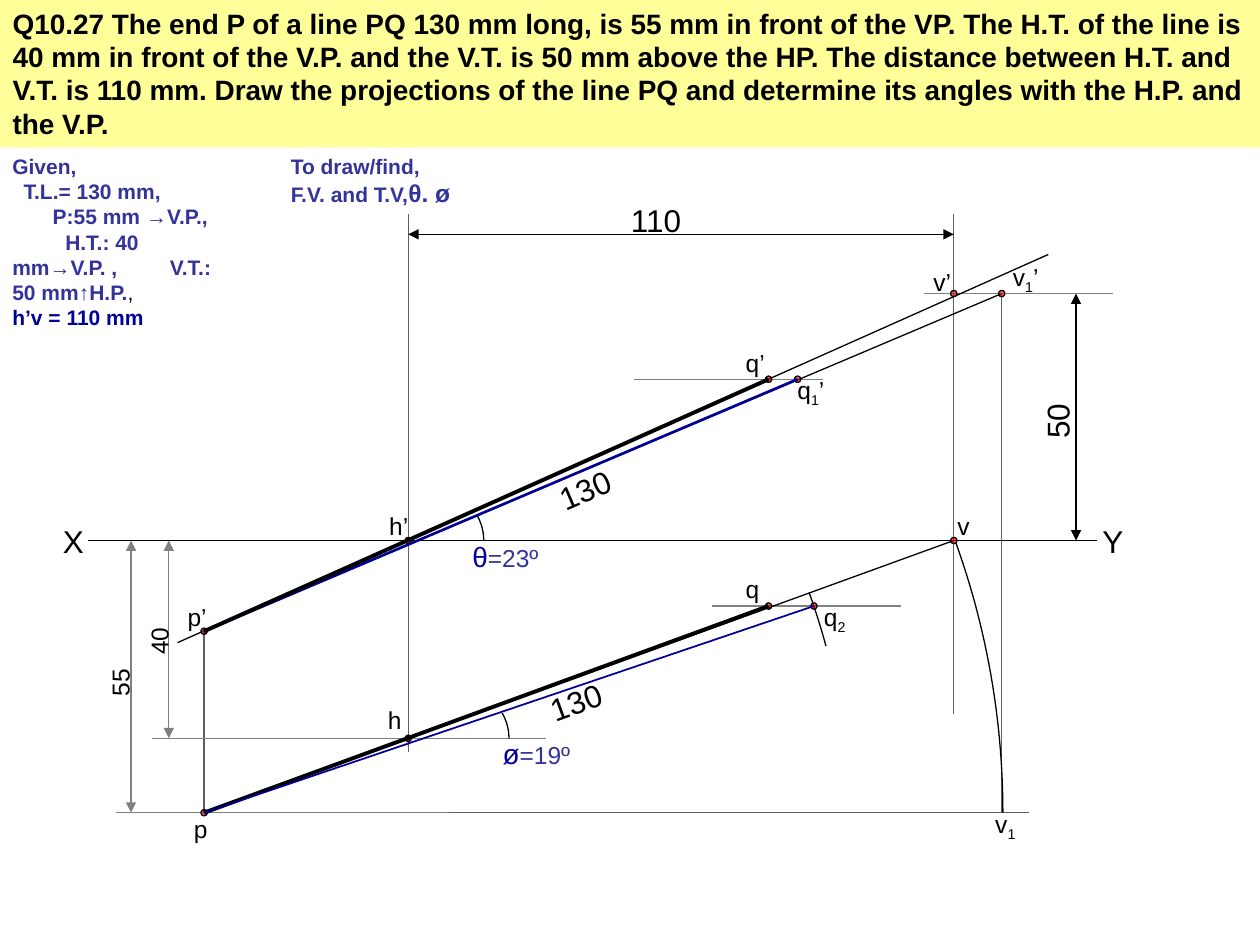
"""Builds the slide with the projections of line PQ and its traces."""
from math import cos, radians, sin

from lxml.etree import SubElement
from pptx import Presentation
from pptx.dml.color import RGBColor
from pptx.enum.shapes import MSO_CONNECTOR as CONNECTOR, MSO_SHAPE as SHAPE
from pptx.enum.text import MSO_ANCHOR as ANCHOR, MSO_AUTO_SIZE as AUTO_SIZE, PP_ALIGN as ALIGN
from pptx.oxml.ns import qn
from pptx.util import Inches, Pt

BLACK = RGBColor(0, 0, 0)
DARK_GRAY = RGBColor(0x5F, 0x5F, 0x5F)
GRAY = RGBColor(0x80, 0x80, 0x80)
NAVY = RGBColor(0, 0, 0x99)
INDIGO = RGBColor(0x33, 0x33, 0x99)
YELLOW = RGBColor(0xFF, 0xFF, 0x99)
RED = RGBColor(0xFF, 0, 0)

presentation = Presentation()
presentation.slide_width, presentation.slide_height = Inches(10), Inches(7.5)
COLUMN = presentation.slide_width / 10
ROW = presentation.slide_height / 7.5
slide = presentation.slides.add_slide(presentation.slide_layouts[5])
shapes = slide.shapes


def write_text(paragraph, text, size=14, color=BLACK, bold=False, baseline=0):
    run = paragraph.add_run()
    run.text = text
    run.font.name, run.font.size, run.font.bold = "Arial", Pt(size), bold
    run.font.color.rgb = color
    if baseline:
        run.font._element.set("baseline", str(baseline))


def draw_line(start, end, color=BLACK, width=0.75, arrows=False):
    line = shapes.add_connector(
        CONNECTOR.STRAIGHT, int(start[0] * COLUMN), int(start[1] * ROW),
        int(end[0] * COLUMN), int(end[1] * ROW))
    line.line.color.rgb, line.line.width = color, Pt(width)
    if arrows:
        for tag in ("a:headEnd", "a:tailEnd"):
            SubElement(line.line._get_or_add_ln(), qn(tag), type="triangle")
    SubElement(line._element.spPr, qn("a:effectLst"))


question = shapes.title
question.left, question.top = 0, 0
question.width, question.height = int(10 * COLUMN), int(1.17 * ROW)
question.fill.solid()
question.fill.fore_color.rgb = YELLOW
frame = question.text_frame
frame.word_wrap, frame.auto_size = True, AUTO_SIZE.NONE
frame.vertical_anchor = ANCHOR.TOP
paragraph = frame.paragraphs[0]
paragraph.alignment, paragraph.line_spacing = ALIGN.LEFT, Pt(19.1)
write_text(
    paragraph,
    "Q10.27 The end P of a line PQ 130 mm long, is 55 mm in front of the VP. "
    "The H.T. of the line is 40 mm in front of the V.P. and the V.T. is 50 mm above the HP. "
    "The distance between H.T. and V.T. is 110 mm. Draw the projections of the line PQ "
    "and determine its angles with the H.P. and the V.P.",
    size=16, bold=True)

given = [
    (0, [("Given,", INDIGO, True)]),
    (0.09, [("T.L.= 130 mm,", INDIGO, True)]),
    (0.32, [("P:55 mm ", INDIGO, True), ("→", INDIGO, False), ("V.P.,", INDIGO, True)]),
    (0.42, [("H.T.: 40", INDIGO, True)]),
    (0, [("mm", INDIGO, True), ("→", INDIGO, False), ("V.P. ,\tV.T.:", INDIGO, True)]),
    (0, [("50 mm", INDIGO, True), ("↑", INDIGO, False), ("H.P.", INDIGO, True),
         (",", BLACK, False)]),
    (0, [("h’v = 110 mm", NAVY, True)]),
]
frame = shapes.add_textbox(0, int(1.17 * ROW), int(1.93 * COLUMN), int(1.3 * ROW)).text_frame
frame.word_wrap = True
for index, (indent, runs) in enumerate(given):
    paragraph = frame.add_paragraph() if index else frame.paragraphs[0]
    paragraph.line_spacing = Pt(14.4)
    properties = paragraph._p.get_or_add_pPr()
    properties.set("marL", str(int(indent * COLUMN)))
    tabs = SubElement(properties, qn("a:tabLst"))
    SubElement(tabs, qn("a:tab"), pos=str(int(1.25 * COLUMN)), algn="l")
    for text, color, bold in runs:
        write_text(paragraph, text, size=12, color=color, bold=bold)

frame = shapes.add_textbox(
    int(2.21 * COLUMN), int(1.17 * ROW), int(3.06 * COLUMN), int(0.53 * ROW)).text_frame
frame.word_wrap = True
paragraph = frame.paragraphs[0]
paragraph.line_spacing = Pt(14.4)
write_text(paragraph, "To draw/find,", size=12, color=INDIGO, bold=True)
paragraph = frame.add_paragraph()
paragraph.line_spacing = Pt(16.4)
write_text(paragraph, "F.V. and T.V,", size=12, color=INDIGO, bold=True)
write_text(paragraph, "θ. ø", size=14, color=INDIGO, bold=True)

P_X, H_X, Q_X, Q1_X, Q2_X, V_X, V1_X = 1.62, 3.24, 6.1, 6.33, 6.46, 7.57, 7.95
XY_Y, V_TOP, Q_TOP, P_TOP, Q_PLAN, H_PLAN, P_PLAN = 4.29, 2.33, 3.01, 5.01, 4.81, 5.86, 6.45

for start, end, color in [
    ((0.7, XY_Y), (8.71, XY_Y), BLACK),
    ((H_X, 1.7), (H_X, 5.97), DARK_GRAY),
    ((V_X, 1.7), (V_X, 5.67), DARK_GRAY),
    ((V1_X, V_TOP), (V1_X, P_PLAN), DARK_GRAY),
    ((P_X, P_TOP), (P_X, P_PLAN), DARK_GRAY),
    ((7.33, V_TOP), (8.83, V_TOP), GRAY),
    ((5.03, Q_TOP), (6.53, Q_TOP), GRAY),
    ((5.65, Q_PLAN), (7.15, Q_PLAN), GRAY),
    ((1.21, H_PLAN), (4.33, H_PLAN), GRAY),
    ((0.92, P_PLAN), (3.56, P_PLAN), GRAY),
    ((3.56, P_PLAN), (8.17, P_PLAN), DARK_GRAY),
    ((P_X, P_PLAN), (V_X, XY_Y), BLACK),
    ((1.41, 5.1), (8.32, 2.02), BLACK),
    ((P_X, P_TOP), (V1_X, V_TOP), BLACK),
]:
    draw_line(start, end, color)

for start, end, color in [
    ((H_X, 1.86), (V_X, 1.86), BLACK),
    ((8.54, V_TOP), (8.54, XY_Y), BLACK),
    ((1.34, XY_Y), (1.34, H_PLAN), GRAY),
    ((1.04, XY_Y), (1.04, P_PLAN), GRAY),
]:
    draw_line(start, end, color, arrows=True)

ARC_STEPS = 24
for center_x, center_y, radius, first, last in [
    (P_X, P_PLAN, 6.34, 0, 19.8),
    (P_X, P_PLAN, 5.11, 15, 20),
    (3.44, XY_Y, 0.4, 0, 30),
    (3.64, H_PLAN, 0.4, 0, 30),
]:
    angles = [radians(first + (last - first) * step / ARC_STEPS) for step in range(ARC_STEPS + 1)]
    points = [(int((center_x + radius * cos(angle)) * COLUMN),
               int((center_y - radius * sin(angle)) * ROW)) for angle in angles]
    builder = shapes.build_freeform(*points[0])
    builder.add_line_segments(points[1:], close=False)
    arc = builder.convert_to_shape()
    arc.shadow.inherit = False
    arc.fill.background()
    arc.line.color.rgb, arc.line.width = BLACK, Pt(0.75)

DOT = 0.05
for x, y in [
    (P_X, P_TOP), (H_X, XY_Y), (Q_X, Q_TOP), (Q1_X, Q_TOP), (V_X, V_TOP), (V1_X, V_TOP),
    (P_X, P_PLAN), (H_X, H_PLAN), (Q_X, Q_PLAN), (Q2_X, Q_PLAN), (V_X, XY_Y),
]:
    dot = shapes.add_shape(
        SHAPE.OVAL, int((x - DOT / 2) * COLUMN), int((y - DOT / 2) * ROW),
        int(DOT * COLUMN), int(DOT * ROW))
    dot.shadow.inherit = False
    dot.fill.solid()
    dot.fill.fore_color.rgb = RED
    red = dot._element.spPr.find(qn("a:solidFill")).find(qn("a:srgbClr"))
    SubElement(red, qn("a:alpha"), val="62000")
    dot.line.color.rgb, dot.line.width = BLACK, Pt(0.75)

draw_line((P_X, P_TOP), (Q1_X, Q_TOP), NAVY, 1.5)
draw_line((P_X, P_TOP), (Q_X, Q_TOP), BLACK, 2.25)
draw_line((P_X, P_PLAN), (Q_X, Q_PLAN), BLACK, 2.25)
draw_line((P_X, P_PLAN), (Q2_X, Q_PLAN), NAVY, 1)

for name, subscript, prime, left, top in [
    ("h", "", "’", 2.99, 4.01), ("h", "", "", 2.98, 5.55), ("v", "", "", 7.5, 4.01),
    ("v", "", "’", 7.31, 2.07), ("p", "", "", 1.44, 6.41), ("p", "", "’", 1.39, 4.73),
    ("v", "1", "", 7.8, 6.37), ("v", "1", "’", 7.94, 2.03), ("q", "1", "’", 6.23, 2.93),
    ("q", "", "’", 5.82, 2.71), ("q", "", "", 5.82, 4.51), ("q", "2", "", 6.44, 4.73),
]:
    label = shapes.add_textbox(
        int(left * COLUMN), int(top * ROW), int(0.45 * COLUMN), int(0.33 * ROW))
    label.text_frame.word_wrap = True
    paragraph = label.text_frame.paragraphs[0]
    for text, baseline in [(name, 0), (subscript, -25000), (prime, 0)]:
        if text:
            write_text(paragraph, text, baseline=baseline)

for text, size, left, top, width, height, rotation in [
    ("X", 18, 0.4, 4.09, 0.59, 0.4, 0), ("Y", 18, 8.65, 4.09, 0.53, 0.4, 0),
    ("110", 18, 4.91, 1.55, 0.74, 0.4, 0), ("50", 18, 8.03, 3.02, 0.72, 0.4, 270),
    ("40", 14, 1.01, 4.88, 0.5, 0.33, 270), ("55", 14, 0.7, 5.21, 0.5, 0.33, 270),
    ("130", 18, 4.33, 3.66, 0.74, 0.4, 336.8), ("130", 18, 4.26, 5.35, 0.74, 0.4, 340),
]:
    label = shapes.add_textbox(
        int(left * COLUMN), int(top * ROW), int(width * COLUMN), int(height * ROW))
    label.rotation = rotation
    label.text_frame.word_wrap = True
    write_text(label.text_frame.paragraphs[0], text, size=size)

for symbol, value, left, top in [("θ", "=23º", 3.65, 4.23), ("ø", "=19º", 3.89, 5.8)]:
    label = shapes.add_textbox(
        int(left * COLUMN), int(top * ROW), int(0.88 * COLUMN), int(0.37 * ROW))
    label.text_frame.word_wrap = True
    paragraph = label.text_frame.paragraphs[0]
    write_text(paragraph, symbol, size=16, color=NAVY)
    write_text(paragraph, value, color=INDIGO)

presentation.save("out.pptx")
